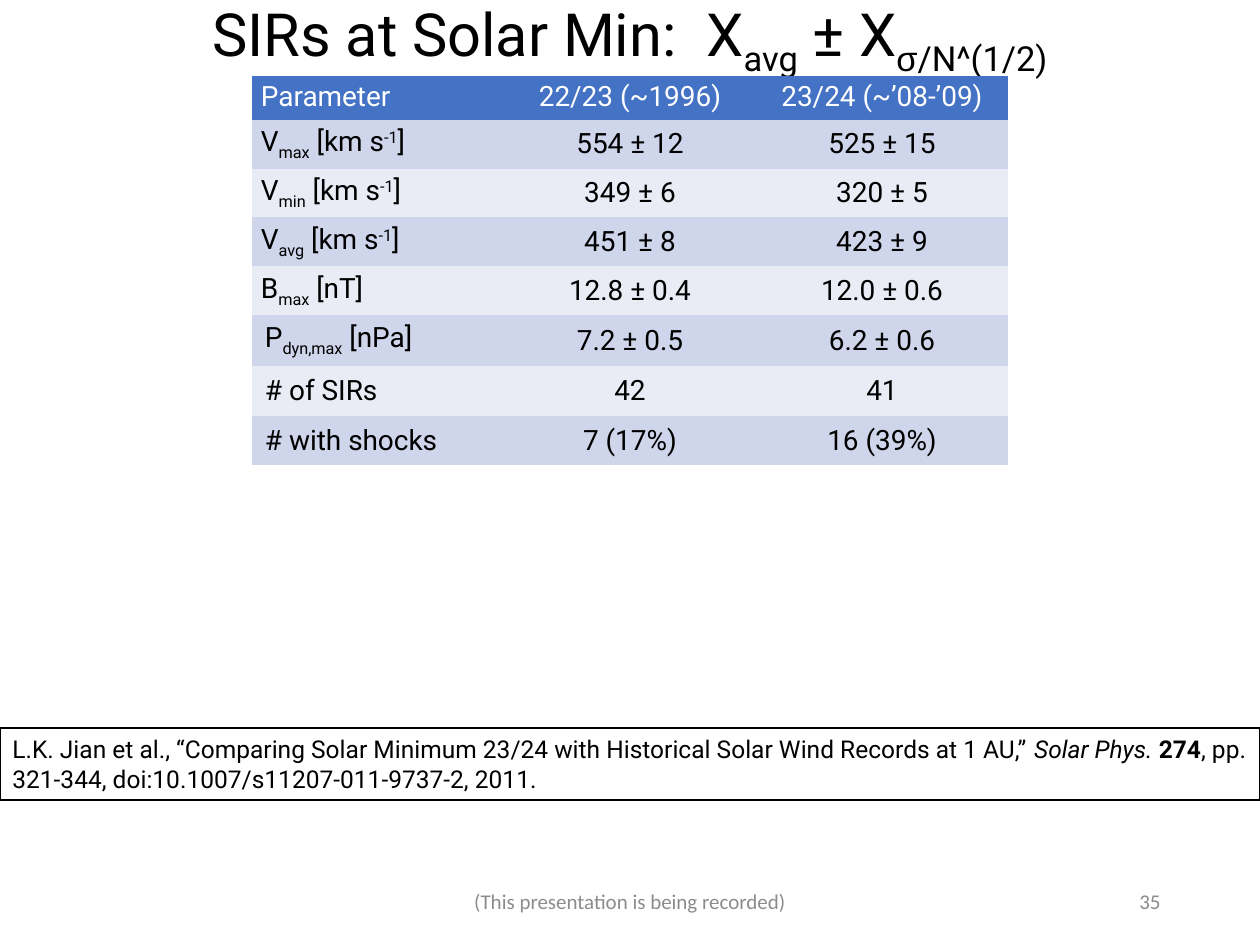
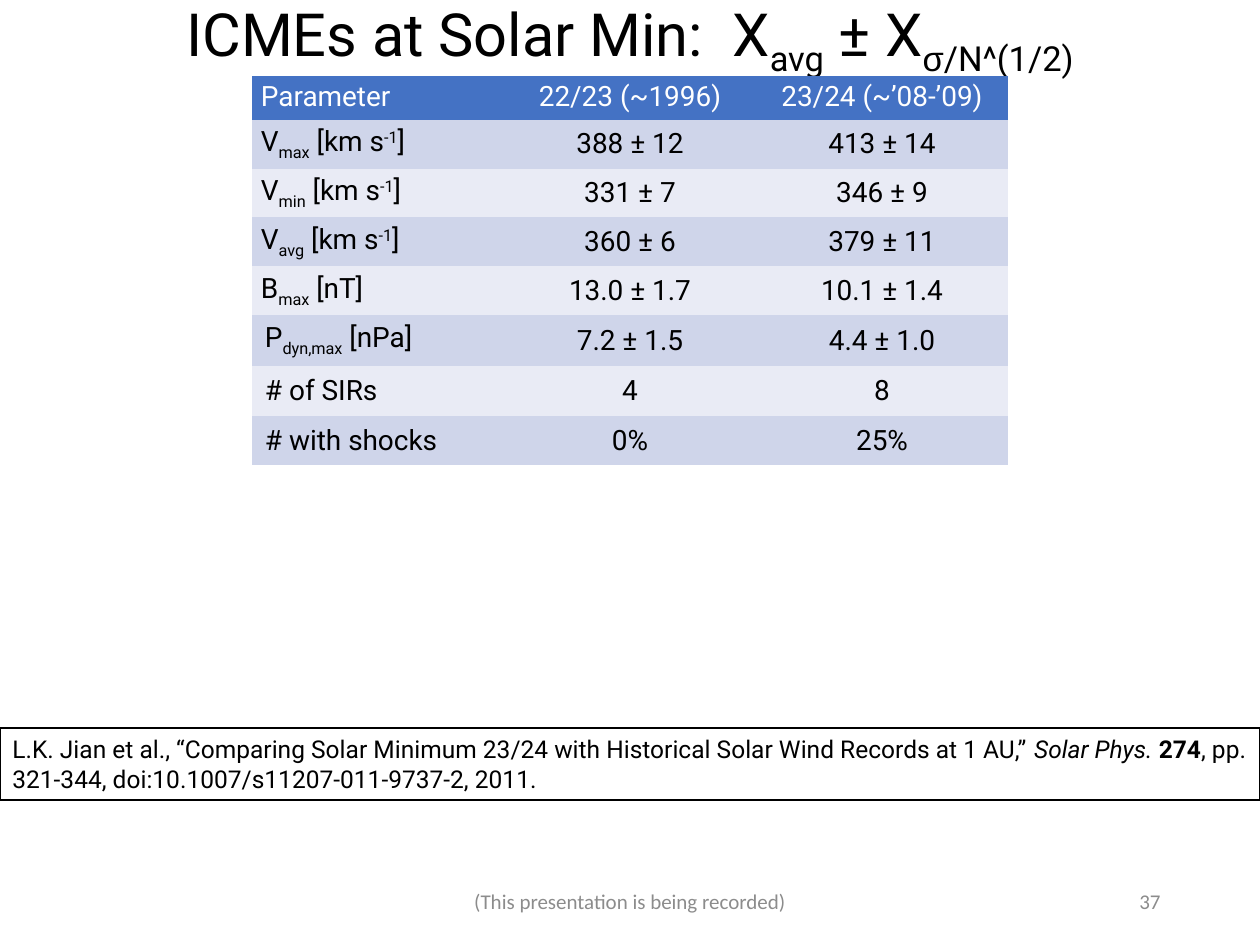
from pptx import Presentation
from pptx.dml.color import RGBColor
from pptx.enum.shapes import MSO_SHAPE
from pptx.enum.text import MSO_ANCHOR as ANCHOR, MSO_AUTO_SIZE as AUTO, PP_ALIGN as ALIGN
from pptx.oxml.ns import qn
from pptx.util import Emu, Pt

COLORS = {"ink": "000000", "white": "FFFFFF", "header": "4472C4",
          "band_dark": "CFD5EA", "band_light": "E9EBF5", "footer": "8C8C8C"}
NO_GRID_STYLE = "{2D5ABB26-0587-4C30-8999-92F81FD0307C}"
SUB = {"base": -25000}
SUP = {"base": 30000}

FOOTER = "(This presentation is being recorded)"
CITATION = [
    "L.K. Jian et al., “Comparing Solar Minimum 23/24 with Historical Solar Wind Records at 1 AU,” ",
    ("Solar Phys. ", {"italic": True}),
    ("274", {"bold": True}),
    ", pp. 321-344, doi:10.1007/s11207-011-9737-2, 2011.",
]
TITLE_TAIL = [("avg", SUB), " ± X", ("σ", {**SUB, "font": "Arial"}), ("/N^(1/2)", SUB)]
HEADINGS = ["Parameter", "22/23 (~1996)", "23/24 (~’08-’09)"]
SPEED_UNIT = [" [km s", ("-1", SUP), "]"]
PARAMETERS = [["V", (name, SUB), *SPEED_UNIT] for name in ("max", "min", "avg")] + [
    ["B", ("max", SUB), " [nT]"],
    ["P", ("dyn,max", SUB), " [nPa]"],
    "# of SIRs",
    "# with shocks",
]
ROW_HEIGHTS = [43] + [49] * 4 + [50] * 3
COL_WIDTH = 252
FIELD_ROWS = 4  # speed and field rows, whose label cells have the tight margins

SLIDES = [
    ("SIRs", "35", [("554 ± 12", "525 ± 15"), ("349 ± 6", "320 ± 5"),
                    ("451 ± 8", "423 ± 9"), ("12.8 ± 0.4", "12.0 ± 0.6"),
                    ("7.2 ± 0.5", "6.2 ± 0.6"), ("42", "41"),
                    ("7 (17%)", "16 (39%)")]),
    ("ICMEs", "37", [("388 ± 12", "413 ± 14"), ("331 ± 7", "346 ± 9"),
                     ("360 ± 6", "379 ± 11"), ("13.0 ± 1.7", "10.1 ± 1.4"),
                     ("7.2 ± 1.5", "4.4 ± 1.0"), ("4", "8"),
                     ("0%", "25%")]),
]


def px(n):
    return Emu(round(n * 914400 / 126))


def write(tf, text, size, color="ink", font="Roboto", align=ALIGN.LEFT):
    """Fill the frame with a string, or a list of strings and (string, format) pairs."""
    tf.word_wrap = True
    p = tf.paragraphs[0]
    p.alignment = align
    for part in [text] if isinstance(text, str) else text:
        words, fmt = (part, {}) if isinstance(part, str) else part
        r = p.add_run()
        r.text = words
        r.font.size = Pt(size)
        r.font.name = fmt.get("font", font)
        r.font.color.rgb = RGBColor.from_string(COLORS[color])
        r.font.bold = fmt.get("bold", False)
        r.font.italic = fmt.get("italic", False)
        if "base" in fmt:
            r.font._element.set("baseline", str(fmt["base"]))


prs = Presentation()
prs.slide_width, prs.slide_height = px(1260), px(945)

for events, number, values in SLIDES:
    s = prs.slides.add_slide(prs.slide_layouts[6])

    title = s.shapes.add_textbox(px(0), px(-9), px(1260), px(84))
    title.text_frame.auto_size = AUTO.SHAPE_TO_FIT_TEXT
    write(title.text_frame, [f"{events} at Solar Min:  X", *TITLE_TAIL], 34, align=ALIGN.CENTER)

    rows = [HEADINGS] + [(label, *pair) for label, pair in zip(PARAMETERS, values)]
    table = s.shapes.add_table(len(rows), len(HEADINGS), px(252), px(76),
                               px(COL_WIDTH * len(HEADINGS)), px(sum(ROW_HEIGHTS))).table
    table._tbl.tblPr.find(qn("a:tableStyleId")).text = NO_GRID_STYLE
    for col in table.columns:
        col.width = px(COL_WIDTH)
    for i, (row, height) in enumerate(zip(rows, ROW_HEIGHTS)):
        table.rows[i].height = px(height)
        band = "header" if i == 0 else "band_dark" if i % 2 else "band_light"
        for j, text in enumerate(row):
            cell = table.cell(i, j)
            tight = i == 0 or (j == 0) == (i <= FIELD_ROWS)
            cell.margin_left = cell.margin_right = px(9 if tight else 13)
            cell.margin_top = cell.margin_bottom = px(5 if tight else 6)
            cell.vertical_anchor = ANCHOR.MIDDLE if i else ANCHOR.TOP
            cell.fill.solid()
            cell.fill.fore_color.rgb = RGBColor.from_string(COLORS[band])
            write(cell.text_frame, text, 16, color="ink" if i else "white",
                  align=ALIGN.CENTER if j else ALIGN.LEFT)

    citation = s.shapes.add_shape(MSO_SHAPE.RECTANGLE, px(0), px(728), px(1260), px(72))
    citation.shadow.inherit = False
    citation.fill.background()
    citation.line.color.rgb = RGBColor.from_string(COLORS["ink"])
    citation.line.width = Pt(1)
    citation.text_frame.vertical_anchor = ANCHOR.TOP
    citation.text_frame.auto_size = AUTO.SHAPE_TO_FIT_TEXT
    write(citation.text_frame, CITATION, 14)

    for text, left, width, align in [(number, 890, 283, ALIGN.RIGHT),
                                     (FOOTER, 417, 426, ALIGN.CENTER)]:
        sp = s.shapes.add_textbox(px(left), px(876), px(width), px(50))
        sp.text_frame.vertical_anchor = ANCHOR.MIDDLE
        write(sp.text_frame, text, 12, color="footer", font="Calibri", align=align)

prs.save("out.pptx")
